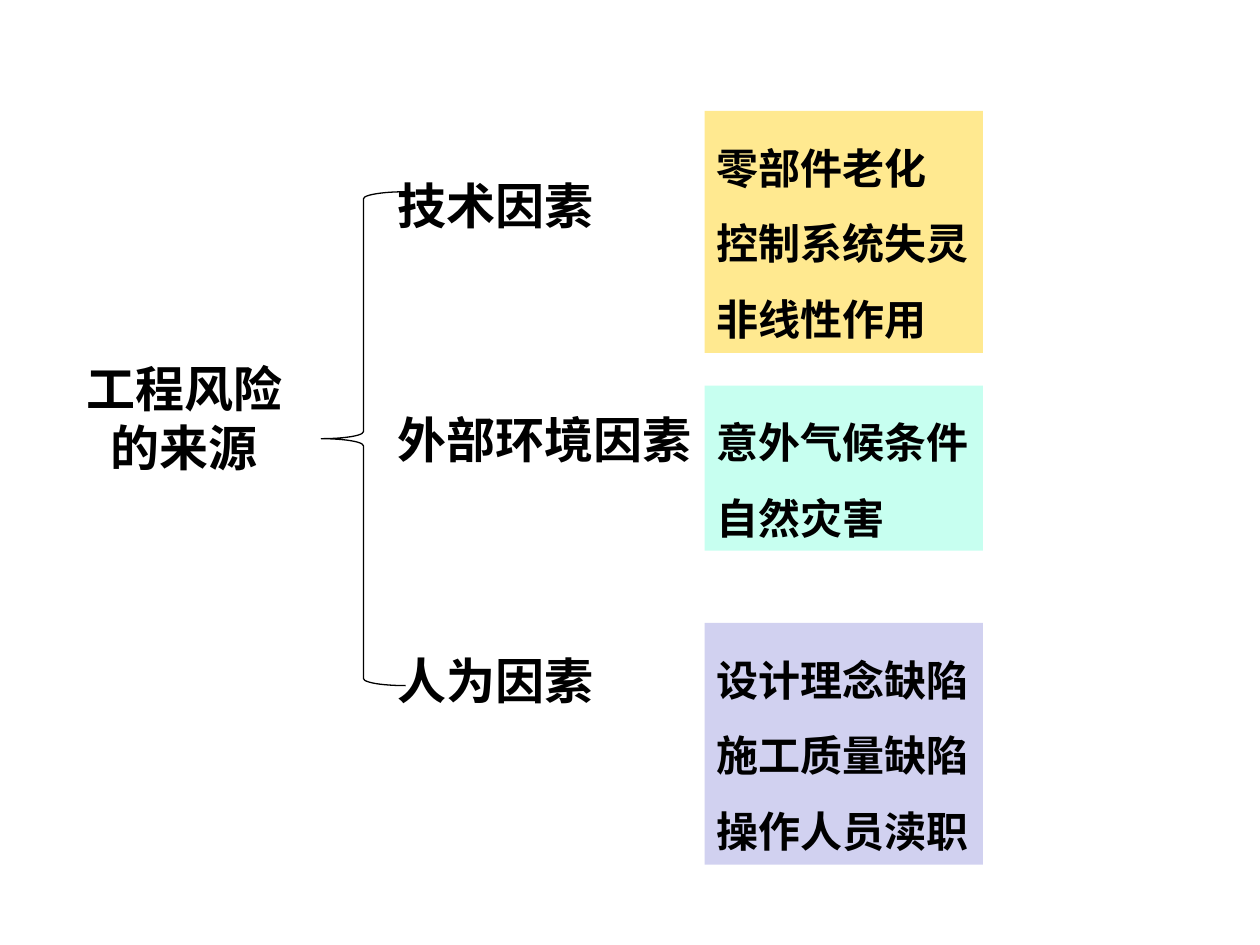
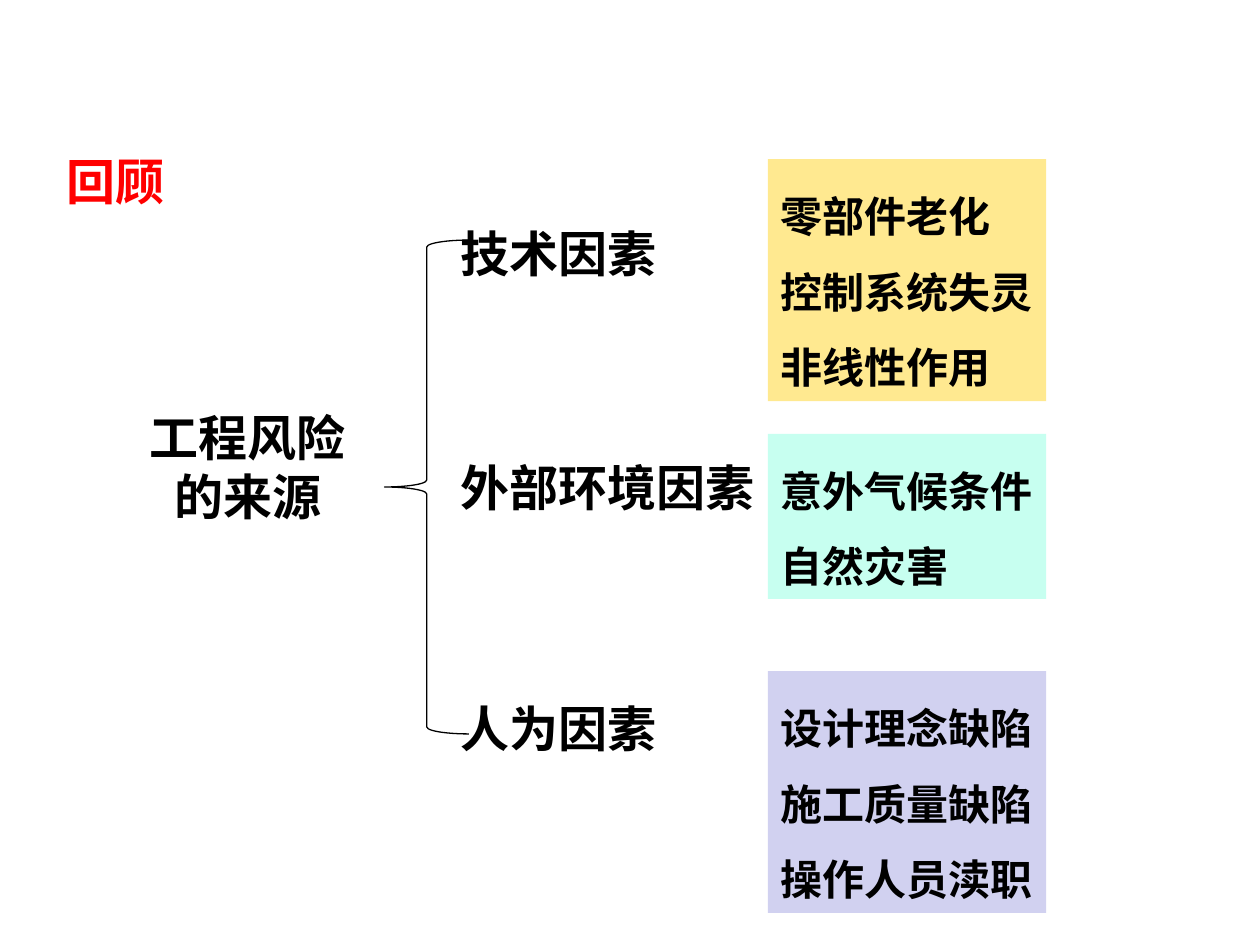
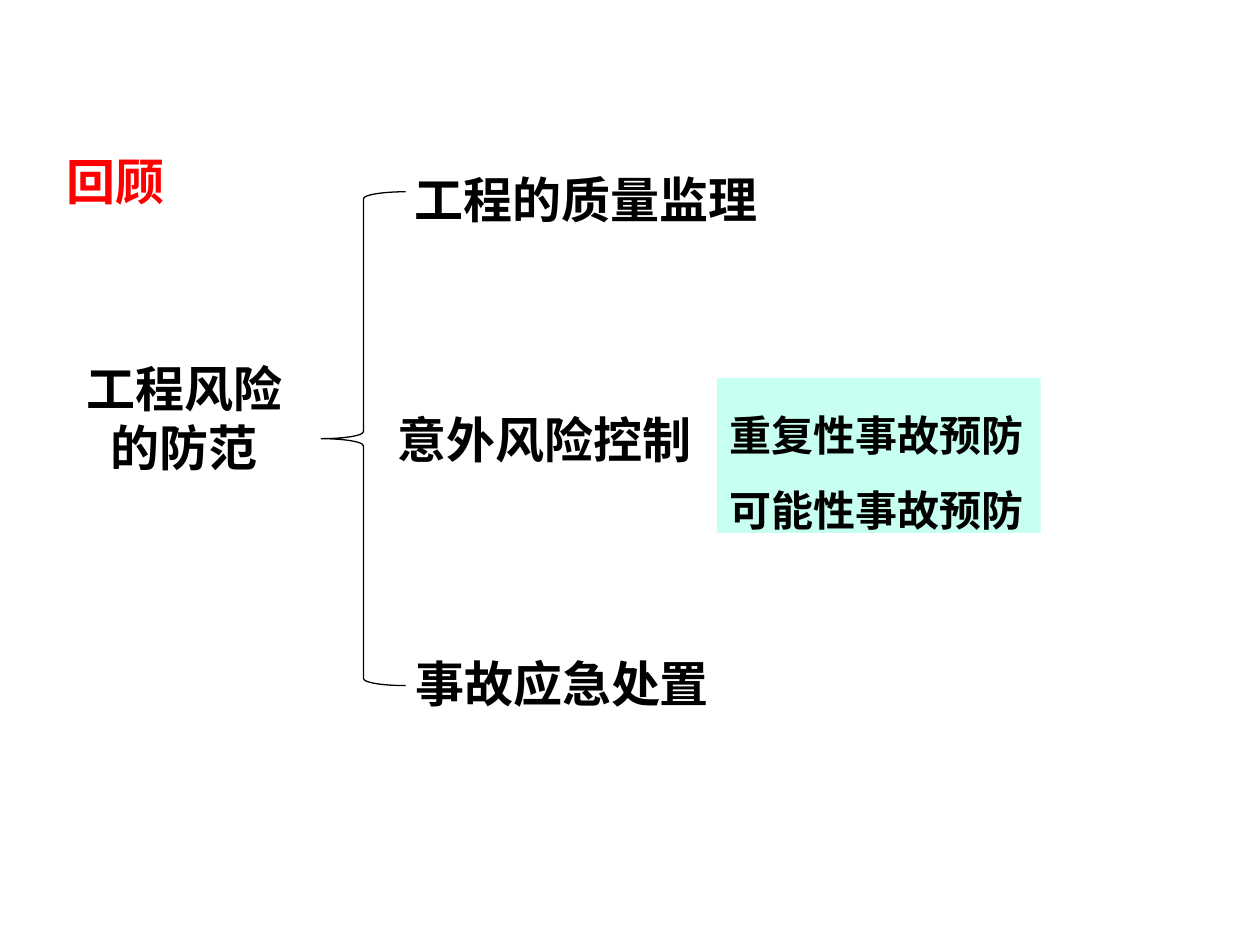
import pptx
import pptx.dml.color
import pptx.enum.shapes
import pptx.enum.text
import pptx.util
from dataclasses import dataclass

Pt = pptx.util.Pt


@dataclass(frozen=True)
class Theme:
    font: str = "Cabin"
    label_size: int = 28
    detail_size: int = 24
    ink: str = "000000"
    review: str = "FF0000"
    yellow: str = "FFE990"
    mint: str = "C7FFF0"
    lilac: str = "D1D1F0"


THEME = Theme()
REVIEW_TITLE = "回顾"
TITLE_AREA = (30.2, 82.8, 71.3, 41)
ROOT_AREA = (42, 201.6, 126.6, 74.9)
BRACE_AREA = (183.6, 109.6, 48.2, 282.2)
LABEL_HEIGHT = 41
SIDE_INSETS = 14.4

# Branches: text, left, top. Details: lines, (left, top, width, height), fill.
RISK_SOURCES = {
    "root": ["工程风险", "的来源"],
    "branches": [
        ("技术因素", 219.8, 96.5),
        ("外部环境因素", 219.8, 230.4),
        ("人为因素", 219.8, 367.9),
    ],
    "details": [
        (["零部件老化", "控制系统失灵", "非线性作用"], (402.6, 63.4, 159, 138.2), THEME.yellow),
        (["意外气候条件", "自然灾害"], (402.6, 220.3, 159, 94.3), THEME.mint),
        (["设计理念缺陷", "施工质量缺陷", "操作人员渎职"], (402.6, 355.9, 159, 138.2), THEME.lilac),
    ],
}
RISK_PREVENTION = {
    "root": ["工程风险", "的防范"],
    "branches": [
        ("工程的质量监理", 229.6, 93.6),
        ("意外风险控制", 219.8, 230.4),
        ("事故应急处置", 230, 370.1),
    ],
    "details": [
        (["重复性事故预防", "可能性事故预防"], (409.7, 216, 185, 88.6), THEME.mint),
    ],
}

# Diagram, whether the review title shows, and how far the diagram moves.
SLIDES = [
    (RISK_SOURCES, False, (0, 0)),
    (RISK_SOURCES, True, (36.2, 27.6)),
    (RISK_PREVENTION, True, (0, 0)),
]


def color(value):
    return pptx.dml.color.RGBColor.from_string(value)


def place(area, shift):
    left, top, width, height = area
    return Pt(left + shift[0]), Pt(top + shift[1]), Pt(width), Pt(height)


def write_lines(shape, lines, size, ink=THEME.ink, centered=True, spacing=1.0):
    frame = shape.text_frame
    frame.text = "\n".join(lines)
    frame.word_wrap = False
    frame.auto_size = pptx.enum.text.MSO_AUTO_SIZE.NONE
    frame.vertical_anchor = pptx.enum.text.MSO_ANCHOR.TOP
    alignment = pptx.enum.text.PP_ALIGN
    for paragraph in frame.paragraphs:
        paragraph.alignment = alignment.CENTER if centered else alignment.LEFT
        paragraph.line_spacing = spacing
        paragraph.font.name = THEME.font
        paragraph.font.size = Pt(size)
        paragraph.font.bold = True
        paragraph.font.color.rgb = color(ink)


def add_label(slide, lines, area, shift):
    label = slide.shapes.add_textbox(*place(area, shift))
    write_lines(label, lines, THEME.label_size)


def add_brace(slide, shift):
    brace = slide.shapes.add_shape(
        pptx.enum.shapes.MSO_SHAPE.LEFT_BRACE, *place(BRACE_AREA, shift))
    brace.shadow.inherit = False
    brace.fill.background()
    brace.line.color.rgb = color(THEME.ink)
    brace.line.width = Pt(0.75)


def add_detail(slide, lines, area, fill, shift):
    box = slide.shapes.add_shape(
        pptx.enum.shapes.MSO_SHAPE.RECTANGLE, *place(area, shift))
    box.shadow.inherit = False
    box.fill.solid()
    box.fill.fore_color.rgb = color(fill)
    box.line.fill.background()
    write_lines(box, lines, THEME.detail_size, centered=False, spacing=1.5)


def add_diagram(slide, diagram, shift):
    add_label(slide, diagram["root"], ROOT_AREA, shift)
    for text, left, top in diagram["branches"]:
        width = len(text) * THEME.label_size + SIDE_INSETS
        add_label(slide, [text], (left, top, width, LABEL_HEIGHT), shift)
    add_brace(slide, shift)
    for lines, area, fill in diagram["details"]:
        add_detail(slide, lines, area, fill, shift)


def set_title(slide):
    title = slide.shapes.title
    title.left, title.top, title.width, title.height = place(TITLE_AREA, (0, 0))
    write_lines(title, [REVIEW_TITLE], THEME.label_size, THEME.review)


def main():
    presentation = pptx.Presentation()
    presentation.slide_width = Pt(720)
    presentation.slide_height = Pt(540)
    title_only = presentation.slide_layouts.get_by_name("Title Only")
    blank = presentation.slide_layouts.get_by_name("Blank")
    for diagram, is_review, shift in SLIDES:
        slide = presentation.slides.add_slide(title_only if is_review else blank)
        if is_review:
            set_title(slide)
        add_diagram(slide, diagram, shift)
    presentation.save("out.pptx")


if __name__ == "__main__":
    main()
